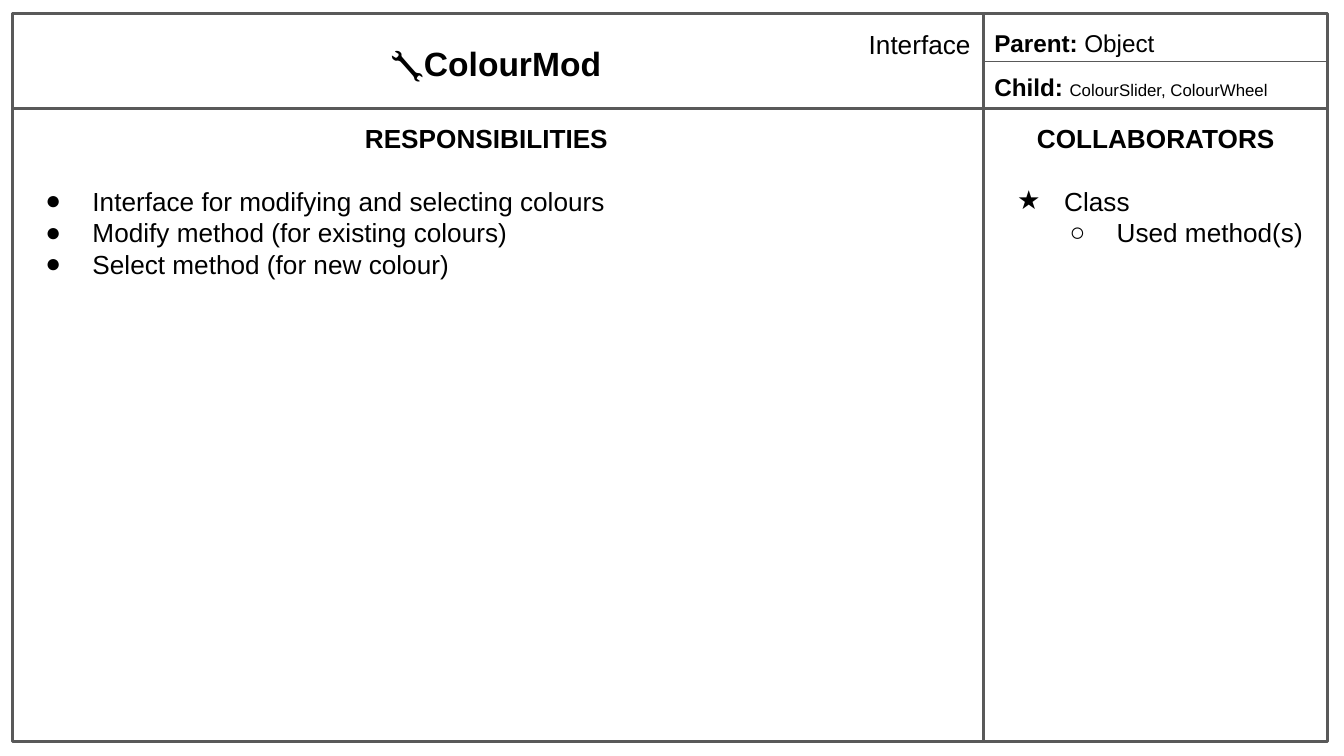
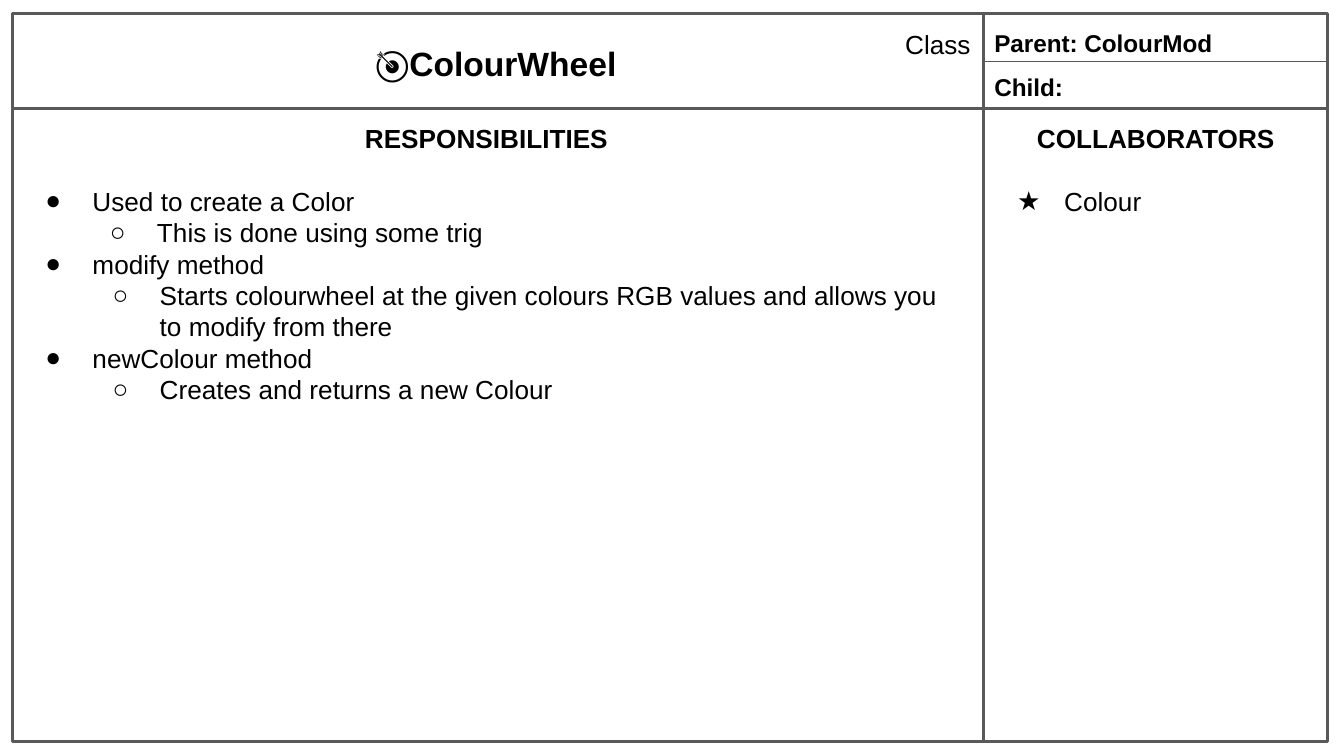
from math import ceil

from lxml import etree
from pptx import Presentation
from pptx.dml.color import RGBColor
from pptx.enum.shapes import MSO_CONNECTOR, MSO_SHAPE
from pptx.enum.text import MSO_ANCHOR, MSO_AUTO_SIZE, PP_ALIGN
from pptx.oxml.ns import qn
from pptx.util import Inches, Pt

RECTANGLE = MSO_SHAPE.RECTANGLE
STRAIGHT = MSO_CONNECTOR.STRAIGHT
TOP = MSO_ANCHOR.TOP
FIT_SHAPE = MSO_AUTO_SIZE.SHAPE_TO_FIT_TEXT
LEFT, CENTER, RIGHT = PP_ALIGN.LEFT, PP_ALIGN.CENTER, PP_ALIGN.RIGHT

FONT = "Arial"
INK = "000000"
RULE = "595959"
SLIDE_W = 10
SLIDE_H = SLIDE_W * 9 / 16
CARD_LEFT, CARD_RIGHT = 0.09, 9.88
CARD_TOP, CARD_BOTTOM = 0.1, 5.52
SIDE_LEFT = 7.32
HEADER_BOTTOM = 0.81
HEADER_MIDDLE = 0.46
MAIN_W = 7.06
LABEL_W = 2.62
PADDING = 0.1
BODY_SIZE = 14
LINE_POINTS = BODY_SIZE * 1.21
HANGING = 0.35
CHARS_PER_LINE = 70

CARDS = [
    {
        "name": "\U0001F527ColourMod",
        "kind": "Interface",
        "parent": [("Parent: ", 13, True), ("Object", 13, False)],
        "child": [("Child: ", 13, True),
                  ("ColourSlider, ColourWheel", 9, False)],
        "responsibilities": [
            ("●", 0, 0.5, "Interface for modifying and selecting colours"),
            ("●", 0, 0.5, "Modify method (for existing colours)"),
            ("●", 0, 0.5, "Select method (for new colour)"),
        ],
        "collaborators": [
            ("★", 0, 0.5, "Class"),
            ("○", 1, 0.89, "Used method(s)"),
        ],
    },
    {
        "name": "\U0001F3AFColourWheel",
        "kind": "Class",
        "parent": [("Parent: ColourMod", 13, True)],
        "child": [("Child:", 13, True)],
        "responsibilities": [
            ("●", 0, 0.5, "Used to create a Color"),
            ("○", 1, 0.98, "This is done using some trig"),
            ("●", 0, 0.5, "modify method"),
            ("○", 1, 1, "Starts colourwheel at the given colours RGB values "
                        "and allows you to modify from there"),
            ("●", 0, 0.5, "newColour method"),
            ("○", 1, 1, "Creates and returns a new Colour"),
        ],
        "collaborators": [("★", 0, 0.5, "Colour")],
    },
]


def color(hex_string):
    return RGBColor.from_string(hex_string)


def format_run(run, size, bold):
    run.font.name = FONT
    run.font.size = Pt(size)
    run.font.bold = bold
    run.font.color.rgb = color(INK)


def prepare_frame(frame):
    frame.word_wrap = True
    frame.auto_size = FIT_SHAPE
    frame.vertical_anchor = TOP
    frame.margin_left = frame.margin_right = Inches(PADDING)
    frame.margin_top = frame.margin_bottom = Inches(PADDING)


def write_runs(paragraph, parts, align):
    paragraph.alignment = align
    for text, size, bold in parts:
        run = paragraph.add_run()
        run.text = text
        format_run(run, size, bold)


def add_text(slide, left, top, width, height):
    box = slide.shapes.add_textbox(
        Inches(left), Inches(top), Inches(width), Inches(height))
    prepare_frame(box.text_frame)
    return box.text_frame


def add_label(slide, left, top, height, parts, align=LEFT):
    frame = add_text(slide, left, top, LABEL_W, height)
    write_runs(frame.paragraphs[0], parts, align)


def set_bullet(paragraph, mark, indent):
    props = paragraph._p.get_or_add_pPr()
    props.set("marL", str(Inches(indent)))
    props.set("indent", str(-Inches(HANGING)))
    tint = etree.SubElement(props, qn("a:buClr"))
    etree.SubElement(tint, qn("a:srgbClr")).set("val", INK)
    etree.SubElement(props, qn("a:buFont")).set("typeface", FONT)
    etree.SubElement(props, qn("a:buChar")).set("char", mark)


def add_list(slide, left, width, heading, items):
    rows = 2 + sum(ceil(len(item[-1]) / CHARS_PER_LINE) for item in items)
    height = 2 * PADDING + rows * LINE_POINTS / 72
    frame = add_text(slide, left, HEADER_BOTTOM, width, height)
    title = frame.paragraphs[0]
    write_runs(title, [(heading, BODY_SIZE, True)], CENTER)
    title.space_after = Pt(LINE_POINTS)
    for mark, level, indent, text in items:
        paragraph = frame.add_paragraph()
        write_runs(paragraph, [(text, BODY_SIZE, False)], LEFT)
        paragraph.level = level
        set_bullet(paragraph, mark, indent)


def add_rule(slide, start, end, weight):
    x1, y1, x2, y2 = (Inches(value) for value in (*start, *end))
    rule = slide.shapes.add_connector(STRAIGHT, x1, y1, x2, y2)
    rule.line.color.rgb = color(RULE)
    rule.line.width = Pt(weight)
    etree.SubElement(rule._element.spPr, qn("a:effectLst"))


def add_border(slide):
    border = slide.shapes.add_shape(
        RECTANGLE, Inches(CARD_LEFT), Inches(CARD_TOP),
        Inches(CARD_RIGHT - CARD_LEFT), Inches(CARD_BOTTOM - CARD_TOP))
    border.shadow.inherit = False
    border.fill.background()
    border.line.color.rgb = color(RULE)
    border.line.width = Pt(1.5)


def set_title(slide, name):
    title = slide.shapes.title
    title.left, title.top = Inches(0.23), Inches(0.22)
    title.width, title.height = Inches(6.92), Inches(0.5)
    prepare_frame(title.text_frame)
    write_runs(title.text_frame.paragraphs[0], [(name, 18, True)], CENTER)


def add_card(deck, card):
    slide = deck.slides.add_slide(deck.slide_layouts[5])
    add_border(slide)
    set_title(slide, card["name"])
    add_list(slide, CARD_LEFT, MAIN_W,
             "RESPONSIBILITIES", card["responsibilities"])
    add_list(slide, SIDE_LEFT, CARD_RIGHT - SIDE_LEFT,
             "COLLABORATORS", card["collaborators"])
    add_rule(slide, (CARD_LEFT, HEADER_BOTTOM), (CARD_RIGHT, HEADER_BOTTOM), 1.5)
    add_rule(slide, (SIDE_LEFT, CARD_TOP), (SIDE_LEFT, CARD_BOTTOM), 1.5)
    add_rule(slide, (CARD_RIGHT, HEADER_MIDDLE), (SIDE_LEFT, HEADER_MIDDLE), 0.75)
    add_label(slide, SIDE_LEFT - LABEL_W, 0.11, 0.44,
              [(card["kind"], BODY_SIZE, False)], RIGHT)
    add_label(slide, 7.3, 0.11, 0.42, card["parent"])
    add_label(slide, 7.3, 0.44, 0.42, card["child"])


def main():
    deck = Presentation()
    deck.slide_width, deck.slide_height = Inches(SLIDE_W), Inches(SLIDE_H)
    for card in CARDS:
        add_card(deck, card)
    deck.save("out.pptx")


main()
